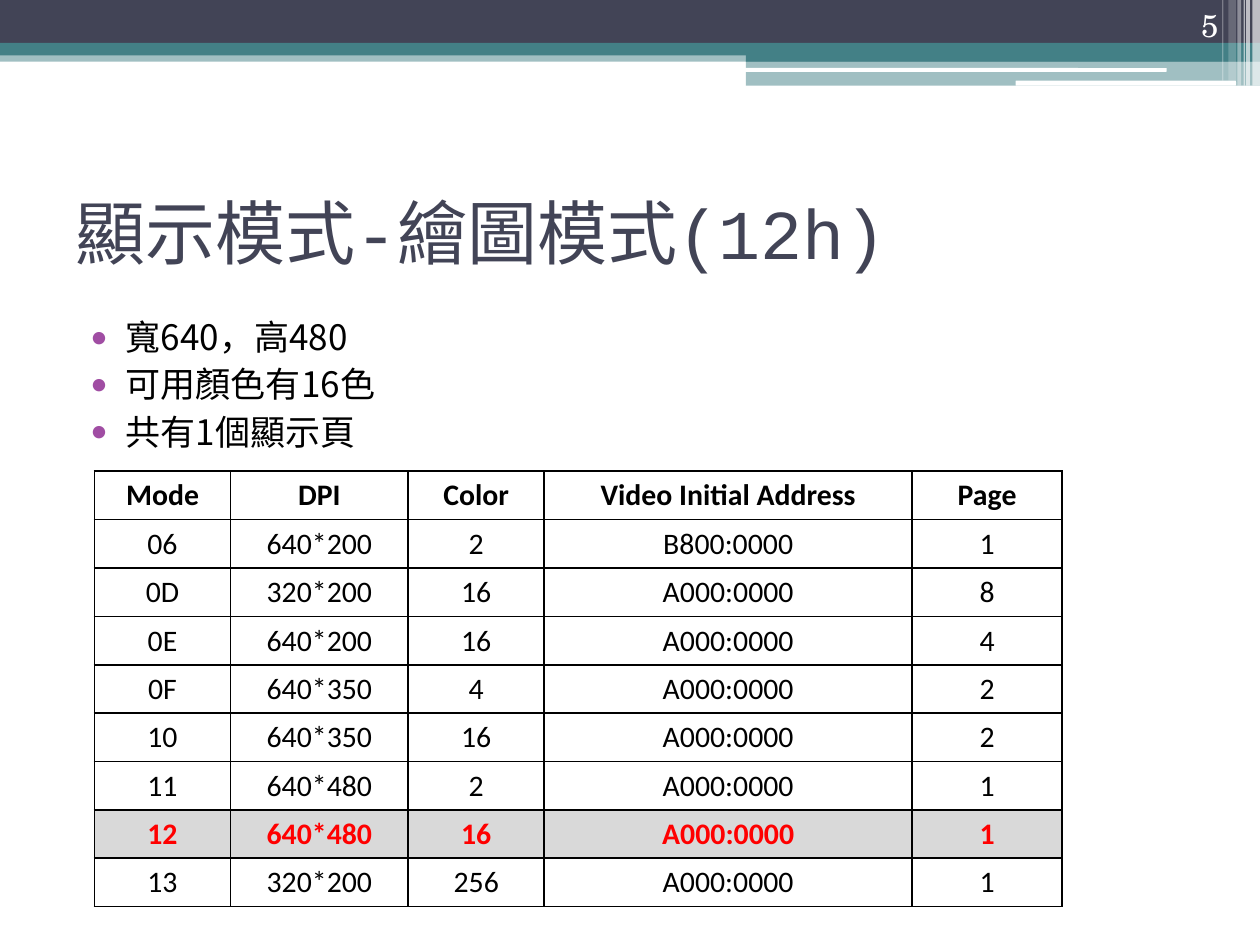
import dataclasses
import pptx
import pptx.dml.color
import pptx.enum.shapes
import pptx.enum.text
import pptx.oxml
import pptx.oxml.ns
import pptx.util

Inches, Pt = pptx.util.Inches, pptx.util.Pt
RGB = pptx.dml.color.RGBColor.from_string
Shape = pptx.enum.shapes.MSO_SHAPE
Align = pptx.enum.text.PP_ALIGN
Anchor = pptx.enum.text.MSO_ANCHOR
NS = pptx.oxml.ns.nsdecls("a")


@dataclasses.dataclass(frozen=True)
class Theme:
    """Colours, fonts and type sizes of the slide."""
    navy: str = "424456"
    teal: str = "438086"
    white: str = "FFFFFF"
    black: str = "000000"
    red: str = "FF0000"
    grey: str = "D9D9D9"
    dot: str = "A04DA3"
    mono: str = "Courier New"
    cjk: str = "Noto Sans CJK SC"
    sans: str = "Calibri"
    serif: str = "TeX Gyre Schola"
    head: int = 40
    body: int = 20
    num: int = 18
    cell: int = 17
    rule: float = 1.08


T = Theme()

BANDS = [
    (0, 0.4, 10, 0.09, T.teal, 50),
    (0, 0, 10, 0.34, T.navy, 100),
    (0, 0.34, 10, 0.1, T.teal, 100),
    (5.92, 0.39, 4.08, 0.1, T.teal, 100),
    (5.92, 0.48, 4.08, 0.2, T.teal, 50),
]
PILLS = [(5.91, 0.54, 3.35, 0.03), (8.06, 0.64, 1.75, 0.04)]
STRIPES = [
    (9.94, 0.06, 0.68, 65),
    (9.89, 0.03, 0.68, 65),
    (9.87, 0.01, 0.68, 60),
    (9.82, 0.03, 0.68, 40),
    (9.75, 0.06, 0.64, 20),
    (9.7, 0.01, 0.64, 30),
]
POINTS = ["寬640，高480", "可用顏色有16色", "共有1個顯示頁"]
WIDTHS = [1.08, 1.41, 1.08, 2.92, 1.19]
MODES = [
    ("Mode", "DPI", "Color", "Video Initial Address", "Page"),
    ("06", "640*200", "2", "B800:0000", "1"),
    ("0D", "320*200", "16", "A000:0000", "8"),
    ("0E", "640*200", "16", "A000:0000", "4"),
    ("0F", "640*350", "4", "A000:0000", "2"),
    ("10", "640*350", "16", "A000:0000", "2"),
    ("11", "640*480", "2", "A000:0000", "1"),
    ("12", "640*480", "16", "A000:0000", "1"),
    ("13", "320*200", "256", "A000:0000", "1"),
]


def write(para, text, font, size, color=T.black, bold=False, align=Align.LEFT):
    """Put one formatted run into a paragraph."""
    para.alignment = align
    run = para.add_run()
    run.text = text
    run.font.name, run.font.size, run.font.bold = font, Pt(size), bold
    run.font.color.rgb = RGB(color)
    run.font._element.get_or_add_latin().addnext(
        pptx.oxml.parse_xml(f'<a:ea {NS} typeface="{T.cjk}"/>'))


def bar(slide, x, y, w, h, color, alpha=100, kind=Shape.RECTANGLE):
    """Add a flat filled bar, opaque to alpha percent."""
    shape = slide.shapes.add_shape(kind, Inches(x), Inches(y), Inches(w), Inches(h))
    shape.shadow.inherit = False
    shape.line.fill.background()
    shape.fill.solid()
    shape.fill.fore_color.rgb = RGB(color)
    if alpha < 100:
        tint = shape._element.spPr.find(".//" + pptx.oxml.ns.qn("a:srgbClr"))
        tint.append(pptx.oxml.parse_xml(f'<a:alpha {NS} val="{alpha * 1000}"/>'))
    return shape


def banner(slide):
    """Draw the bands, pills and stripes along the top."""
    for band in BANDS:
        bar(slide, *band)
    for pill in PILLS:
        bar(slide, *pill, T.white, kind=Shape.ROUNDED_RECTANGLE)
    for x, w, h, alpha in STRIPES:
        bar(slide, x, 0, w, h, T.white, alpha)


def box(slide, x, y, w, h, anchor=Anchor.TOP):
    """Add a wrapping text box and return its frame."""
    frame = slide.shapes.add_textbox(
        Inches(x), Inches(y), Inches(w), Inches(h)).text_frame
    frame.word_wrap = True
    frame.vertical_anchor = anchor
    return frame


def title(slide, text):
    """Place and fill the title placeholder."""
    head = slide.shapes.title
    head.left, head.top = Inches(0.5), Inches(1.25)
    head.width, head.height = Inches(9), Inches(1.17)
    frame = head.text_frame
    frame.vertical_anchor = Anchor.MIDDLE
    frame.auto_size = pptx.enum.text.MSO_AUTO_SIZE.NONE
    write(frame.paragraphs[0], text, T.mono, T.head, T.navy)


def bullets(slide, items):
    """Add the bulleted list."""
    frame = box(slide, 0.5, 2.46, 9, 4.73)
    for i, item in enumerate(items):
        para = frame.add_paragraph() if i else frame.paragraphs[0]
        write(para, item, T.cjk, T.body)
        para.space_before = Pt(3)
        para.line_spacing = Pt(23.9)
        props = para._p.get_or_add_pPr()
        props.set("marL", str(Inches(0.4)))
        props.set("indent", str(Inches(-0.28)))
        for xml in (f'<a:buClr {NS}><a:srgbClr val="{T.dot}"/></a:buClr>',
                    f'<a:buFont {NS} typeface="{T.sans}"/>',
                    f'<a:buChar {NS} char="•"/>'):
            props.append(pptx.oxml.parse_xml(xml))


def edge(cell):
    """Rule all four sides of a cell."""
    props = cell._tc.get_or_add_tcPr()
    for i, side in enumerate(("lnL", "lnR", "lnT", "lnB")):
        props.insert(i, pptx.oxml.parse_xml(
            f'<a:{side} {NS} w="{Pt(T.rule)}"><a:solidFill>'
            f'<a:srgbClr val="{T.black}"/></a:solidFill></a:{side}>'))


def grid(slide, rows, widths, mark):
    """Add the mode table and highlight the marked mode."""
    table = slide.shapes.add_table(
        len(rows), len(widths), Inches(0.75), Inches(3.74),
        Inches(sum(widths)), Inches(3.45)).table
    for col, width in zip(table.columns, widths):
        col.width = Inches(width)
    for r, row in enumerate(rows):
        hit = row[0] == mark
        for c, text in enumerate(row):
            cell = table.cell(r, c)
            cell.fill.solid()
            cell.fill.fore_color.rgb = RGB(T.grey if hit else T.white)
            edge(cell)
            write(cell.text_frame.paragraphs[0], text, T.sans, T.cell,
                  color=T.red if hit else T.black,
                  bold=hit or r == 0, align=Align.CENTER)


def main():
    """Build and save the slide."""
    deck = pptx.Presentation()
    deck.slide_width, deck.slide_height = Inches(10), Inches(7.5)
    slide = deck.slides.add_slide(deck.slide_layouts[5])
    banner(slide)
    title(slide, "顯示模式-繪圖模式(12h)")
    bullets(slide, POINTS)
    page = box(slide, 8.94, 0, 0.83, 0.4, Anchor.BOTTOM)
    write(page.paragraphs[0], "5", T.serif, T.num, T.white, align=Align.RIGHT)
    grid(slide, MODES, WIDTHS, "12")
    deck.save("out.pptx")


if __name__ == "__main__":
    main()
